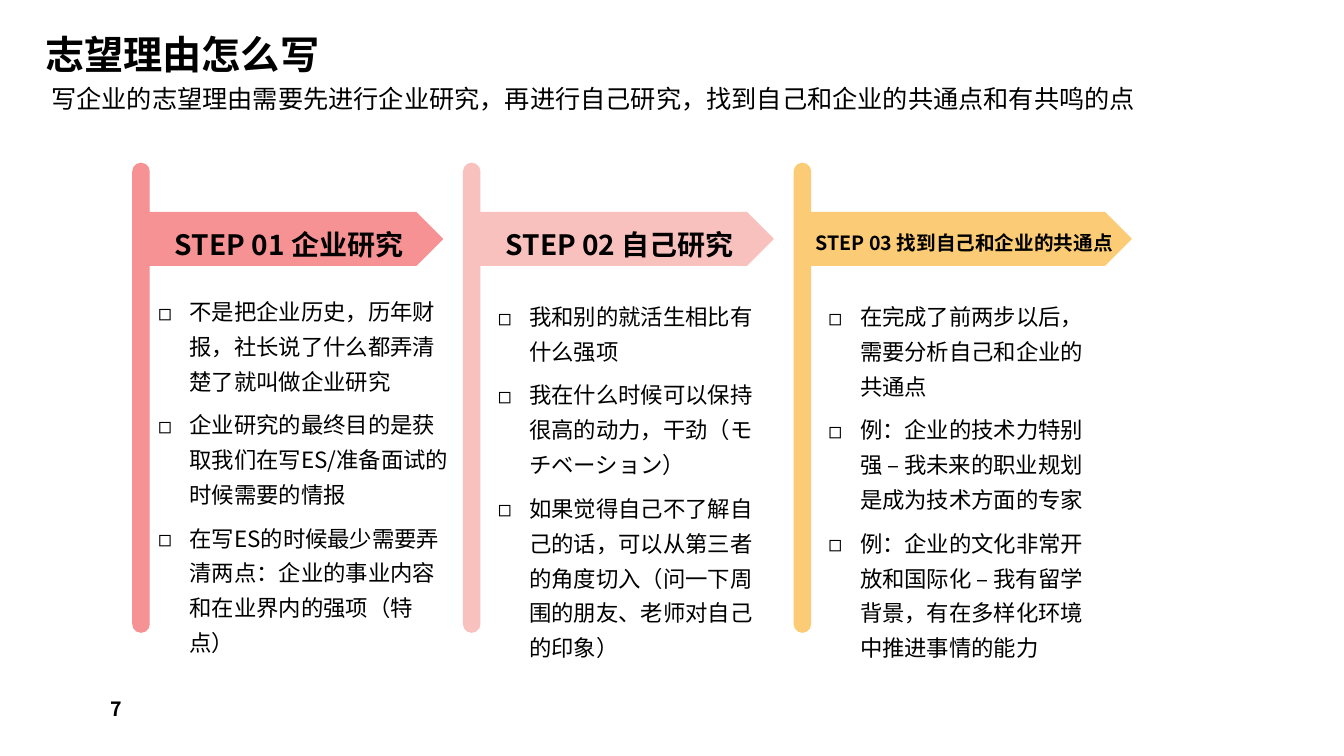
from dataclasses import dataclass

from lxml.etree import SubElement
from pptx import Presentation
from pptx.dml.color import RGBColor
from pptx.enum.shapes import MSO_SHAPE as SHAPE
from pptx.enum.text import MSO_ANCHOR as ANCHOR, PP_ALIGN as ALIGN
from pptx.oxml.ns import qn
from pptx.util import Pt


@dataclass(frozen=True)
class Theme:
    font: str = "Noto Sans CJK SC"
    text: str = "000000"
    steps: tuple = ("F79294", "F8C1BD", "FBCC75")
    title: int = 28
    subtitle: int = 18
    heading: int = 20
    small_heading: int = 14
    body: int = 16
    page: int = 14


@dataclass(frozen=True)
class Step:
    heading: str
    heading_size: int
    arrow_width: float
    body_box: tuple  # left, top, width, height from the bar's corner
    points: tuple


THEME = Theme()
SLIDE_W, SLIDE_H = 960, 540
STEPS_LEFT, STEPS_TOP, STEP_PITCH = 95, 116.7, 236.2
BAR_W, BAR_H = 11.5, 334.8
ARROW_DROP, ARROW_H = 35.2, 37.5
INDENT = 22.5

STEPS = (
    Step("STEP 01 企业研究", THEME.heading, 209.5, (10.8, 87.1, 221.8, 244), (
        "不是把企业历史，历年财报，社长说了什么都弄清楚了就叫做企业研究",
        "企业研究的最终目的是获取我们在写ES/准备面试的时候需要的情报",
        "在写ES的时候最少需要弄清两点：企业的事业内容和在业界内的强项（特点）",
    )),
    Step("STEP 02 自己研究", THEME.heading, 209.5, (17.3, 90.7, 203.8, 269.3), (
        "我和别的就活生相比有什么强项",
        "我在什么时候可以保持很高的动力，干劲（モチベーション）",
        "如果觉得自己不了解自己的话，可以从第三者的角度切入（问一下周围的朋友、老师对自己的印象）",
    )),
    Step("STEP 03 找到自己和企业的共通点", THEME.small_heading, 229, (17.3, 90.7, 209.5, 269.3), (
        "在完成了前两步以后，需要分析自己和企业的共通点",
        "例：企业的技术力特别强 – 我未来的职业规划是成为技术方面的专家",
        "例：企业的文化非常开放和国际化 – 我有留学背景，有在多样化环境中推进事情的能力",
    )),
)


def add_run(p, text, size, bold=False):
    r = p.add_run()
    r.text = text
    r.font.name = THEME.font
    r.font.size = Pt(size)
    r.font.bold = bold
    r.font.color.rgb = RGBColor.from_string(THEME.text)
    SubElement(r.font._element, qn("a:ea"), typeface=THEME.font)


def add_text_box(slide, box, anchor=ANCHOR.TOP):
    tf = slide.shapes.add_textbox(*map(Pt, box)).text_frame
    tf.word_wrap = True
    tf.vertical_anchor = anchor
    return tf


def add_line(slide, box, text, size, bold=False, anchor=ANCHOR.TOP, spacing=1.0):
    """Place a one-paragraph text box."""
    p = add_text_box(slide, box, anchor).paragraphs[0]
    p.line_spacing = spacing
    add_run(p, text, size, bold)


def space_paragraph(p):
    p.line_spacing = 1.3
    p.space_after = Pt(6)


def add_bullets(slide, box, points):
    tf = add_text_box(slide, box)
    for i, point in enumerate(points):
        p = tf.paragraphs[0] if i == 0 else tf.add_paragraph()
        pPr = p._p.get_or_add_pPr()
        pPr.set("marL", str(Pt(INDENT)))
        pPr.set("indent", str(-Pt(INDENT)))
        SubElement(pPr, qn("a:buFont"), typeface=THEME.font)
        SubElement(pPr, qn("a:buChar"), char="◻")
        space_paragraph(p)
        add_run(p, point, THEME.body)


def add_solid(slide, kind, box, color):
    sp = slide.shapes.add_shape(kind, *map(Pt, box))
    sp.shadow.inherit = False
    sp.fill.solid()
    sp.fill.fore_color.rgb = sp.line.color.rgb = RGBColor.from_string(color)
    sp.line.width = Pt(1)
    return sp


def add_step(slide, left, top, step, color):
    dx, dy, width, height = step.body_box
    add_bullets(slide, (left + dx, top + dy, width, height), step.points)

    bar = add_solid(slide, SHAPE.ROUNDED_RECTANGLE, (left, top, BAR_W, BAR_H), color)
    bar.adjustments[0] = 0.5

    arrow_box = (left + BAR_W, top + ARROW_DROP, step.arrow_width, ARROW_H)
    tf = add_solid(slide, SHAPE.PENTAGON, arrow_box, color).text_frame
    tf.word_wrap = False
    tf.vertical_anchor = ANCHOR.MIDDLE
    p = tf.paragraphs[0]
    p.alignment = ALIGN.CENTER
    space_paragraph(p)
    add_run(p, step.heading, step.heading_size, bold=True)


def add_header(slide, left, top):
    add_line(slide, (left, top, 819.4, 49), "志望理由怎么写",
             THEME.title, True, ANCHOR.BOTTOM, 0.9)
    add_line(slide, (left + 4.3, top + 46, 851, 51),
             "写企业的志望理由需要先进行企业研究，再进行自己研究，找到自己和企业的共通点和有共鸣的点",
             THEME.subtitle)


def main():
    prs = Presentation()
    prs.slide_width, prs.slide_height = Pt(SLIDE_W), Pt(SLIDE_H)
    slide = prs.slides.add_slide(prs.slide_layouts[6])
    add_header(slide, 25.2, 10.1)
    for i, (step, color) in enumerate(zip(STEPS, THEME.steps)):
        add_step(slide, STEPS_LEFT + i * STEP_PITCH, STEPS_TOP, step, color)
    add_line(slide, (72, 491.8, 210, 28.8), "7", THEME.page, True, ANCHOR.MIDDLE)
    prs.save("out.pptx")


if __name__ == "__main__":
    main()
